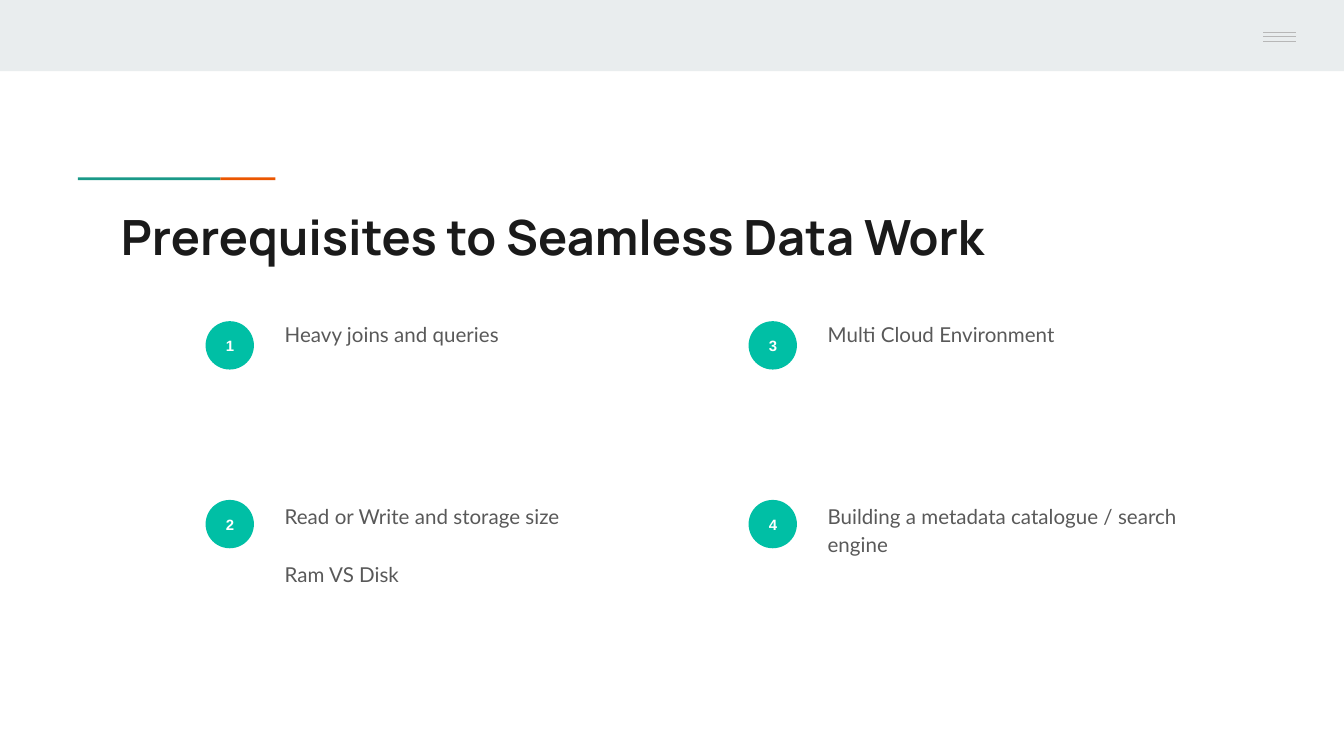
from pptx import Presentation
from pptx.dml.color import RGBColor
from pptx.enum.shapes import MSO_CONNECTOR, MSO_SHAPE
from pptx.enum.text import MSO_ANCHOR, MSO_AUTO_SIZE, PP_ALIGN
from pptx.oxml.ns import qn
from pptx.util import Inches, Pt
from lxml import etree

RECT, OVAL = MSO_SHAPE.RECTANGLE, MSO_SHAPE.OVAL
STRAIGHT = MSO_CONNECTOR.STRAIGHT
TOP, MIDDLE = MSO_ANCHOR.TOP, MSO_ANCHOR.MIDDLE
LEFT, CENTER = PP_ALIGN.LEFT, PP_ALIGN.CENTER
NO_FIT = MSO_AUTO_SIZE.NONE

THEME = {
    "band": "E9EDEE", "menu": "B7B7B7", "teal": "1A9988",
    "orange": "EB5600", "badge": "00BFA5",
    "title": {"name": "Manrope", "size": Pt(26), "bold": True, "color": "1A1A1A"},
    "number": {"name": "Arial", "size": Pt(8), "bold": True, "color": "FFFFFF"},
    "body": {"name": "Lato", "size": Pt(11), "bold": False, "color": "595959"},
}


def add_block(kind, x, y, w, h, color):
    sp = s.shapes.add_shape(kind, Inches(x), Inches(y), Inches(w), Inches(h))
    sp.shadow.inherit = False
    sp.fill.solid()
    sp.fill.fore_color.rgb = RGBColor.from_string(THEME[color])
    sp.line.fill.background()
    return sp


def write(sp, lines, style, anchor=TOP, align=LEFT, spacing=1.0, gap=0):
    tf = sp.text_frame
    frame = {"word_wrap": True, "auto_size": NO_FIT, "vertical_anchor": anchor}
    for side in ("left", "right", "top", "bottom"):
        frame[f"margin_{side}"] = Inches(0.1)
    for name, value in frame.items():
        setattr(tf, name, value)
    for i, line in enumerate(lines):
        p = tf.add_paragraph() if i else tf.paragraphs[0]
        p.alignment, p.line_spacing = align, spacing
        p.space_before = Pt(gap if i else 0)
        r = p.add_run()
        r.text = line
        for name, value in THEME[style].items():
            if name == "color":
                r.font.color.rgb = RGBColor.from_string(value)
            else:
                setattr(r.font, name, value)


prs = Presentation()
prs.slide_width = Inches(10)
prs.slide_height = Inches(10) * 9 // 16
s = prs.slides.add_slide(prs.slide_layouts[5])

# Header band with menu icon
add_block(RECT, 0, 0, 10, 0.53, "band")
for y in (0.24, 0.27, 0.31):
    line = s.shapes.add_connector(
        STRAIGHT, Inches(9.4), Inches(y), Inches(9.64), Inches(y))
    line.line.color.rgb = RGBColor.from_string(THEME["menu"])
    line.line.width = Pt(0.75)
    etree.SubElement(line._element.spPr, qn("a:effectLst"))

# Two-colour accent above the title
add_block(RECT, 0.58, 1.32, 1.06, 0.02, "teal")
add_block(RECT, 1.64, 1.32, 0.41, 0.02, "orange")

title = s.shapes.title
title.left, title.top = Inches(0.8), Inches(1.44)
title.width, title.height = Inches(8.41), Inches(0.59)
write(title, ["Prerequisites to Seamless Data Work"], "title")

# Numbered items fill the grid column by column
items = [
    ["Heavy joins and queries"],
    ["Read or Write and storage size", "Ram VS Disk"],
    ["Multi Cloud Environment"],
    ["Building a metadata catalogue / search engine"],
]
for i, lines in enumerate(items):
    col, row = divmod(i, 2)
    x = 1.53 + col * 4.04
    badge = add_block(OVAL, x, 2.39 + row * 1.33, 0.36, 0.36, "badge")
    write(badge, [str(i + 1)], "number", MIDDLE, CENTER)
    box = s.shapes.add_textbox(
        Inches(x + 0.49), Inches(2.27 + row * 1.35), Inches(3.1), Inches(1.15))
    write(box, lines, "body", spacing=1.15, gap=16)

prs.save("out.pptx")
